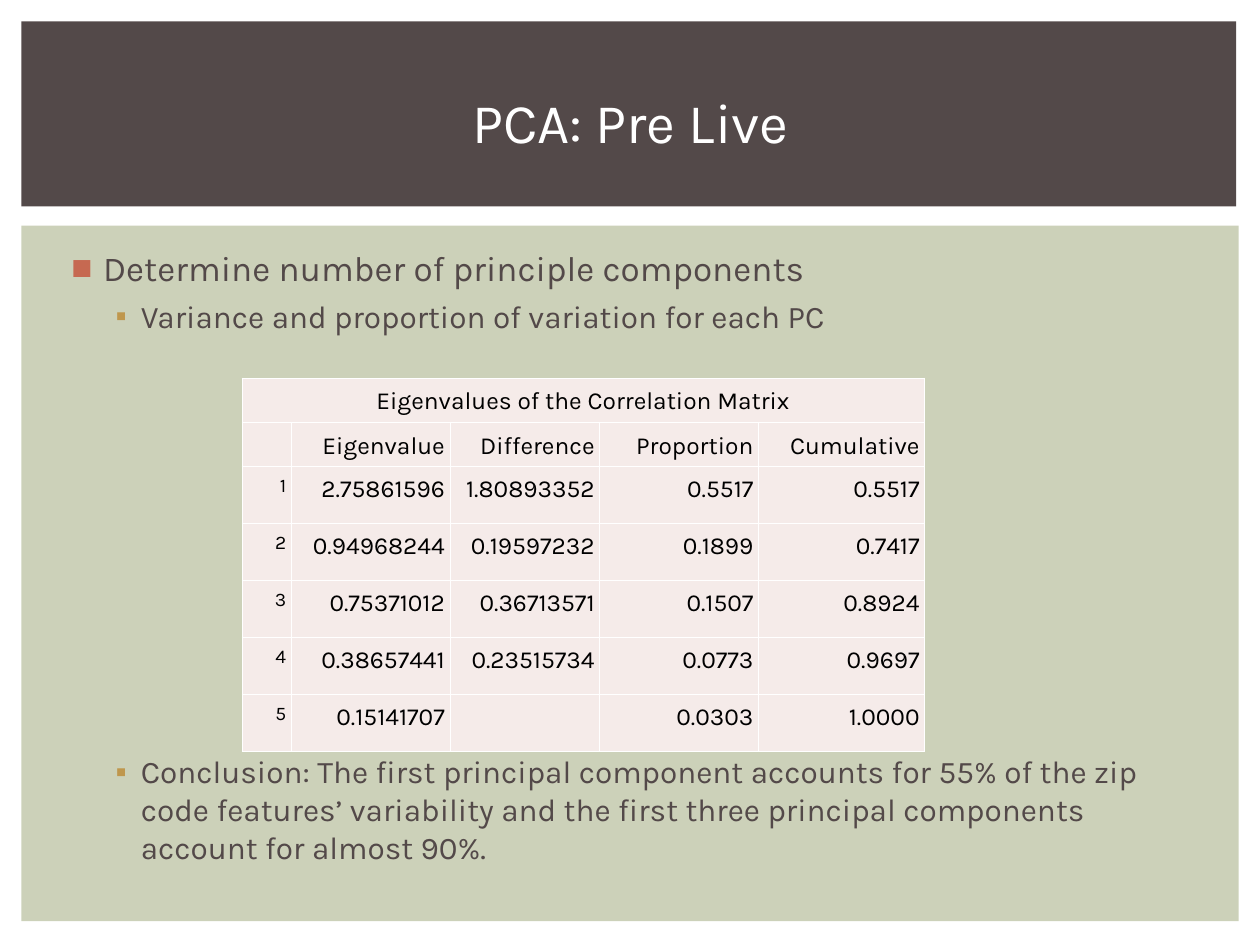
from dataclasses import dataclass
from typing import NamedTuple, Optional

from lxml.etree import SubElement
from pptx import Presentation
from pptx.dml.color import RGBColor as Rgb
from pptx.enum.shapes import MSO_SHAPE as Shape
from pptx.enum.text import MSO_ANCHOR as Anchor, PP_ALIGN as Align
from pptx.oxml.ns import qn
from pptx.util import Cm, Pt


@dataclass(frozen=True)
class Theme:
    font: str = "Karla"
    dark: str = "534949"
    panel: str = "CCD1B9"
    cell: str = "F5EBE9"
    white: str = "FFFFFF"
    black: str = "000000"
    rust: str = "C66951"
    ochre: str = "BF974D"
    title_size: float = 32
    point_size: float = 20
    detail_size: float = 18
    table_size: float = 14
    index_size: float = 11
    rule_width: float = 0.45


class Box(NamedTuple):
    left: float
    top: float
    width: float
    height: float

    def lengths(self) -> list:
        return [Cm(length) for length in self]


class Bullet(NamedTuple):
    mark: str
    color: str
    indent: float
    hanging: float


class Point(NamedTuple):
    text: str
    size: float
    bullet: Bullet
    before: float = 0


THEME = Theme()
MAIN = Bullet("■", THEME.rust, 0.76, 0.64)
SUB = Bullet("▪", THEME.ochre, 1.52, 0.51)

PANELS = [
    (Box(0.43, 4.55, 24.54, 14.02), THEME.panel),
    (Box(0.43, 0.43, 24.49, 3.73), THEME.dark),
]
TITLE_BOX = Box(1.07, 0.99, 23.29, 2.92)
INTRO_BOX = Box(1.07, 4.85, 23.34, 2.2)
CONCLUSION_BOX = Box(1.07, 15.04, 23.34, 3)
TABLE_BOX = Box(4.88, 7.62, 13.76, 7.03)

INTRO = [
    Point("Determine number of principle components", THEME.point_size, MAIN),
    Point("Variance and proportion of variation for each PC",
          THEME.detail_size, SUB, before=4.5),
]
CONCLUSION = [
    Point("Conclusion: The first principal component accounts for 55% of the zip "
          "code features’ variability and the first three principal components "
          "account for almost 90%.", THEME.detail_size, SUB),
]

COLUMN_WIDTHS = [0.99, 3.2, 3.02, 3.2, 3.35]
HEADER_HEIGHT, DATA_HEIGHT = 0.64, 1.15
HEADER_ROWS = 2
EIGENVALUES = [
    ["Eigenvalues of the Correlation Matrix", "", "", "", ""],
    ["", "Eigenvalue", "Difference", "Proportion", "Cumulative"],
    ["1", "2.75861596", "1.80893352", "0.5517", "0.5517"],
    ["2", "0.94968244", "0.19597232", "0.1899", "0.7417"],
    ["3", "0.75371012", "0.36713571", "0.1507", "0.8924"],
    ["4", "0.38657441", "0.23515734", "0.0773", "0.9697"],
    ["5", "0.15141707", "", "0.0303", "1.0000"],
]


def add_bullet(paragraph, bullet: Bullet) -> None:
    props = paragraph._p.get_or_add_pPr()
    props.set("marL", str(Cm(bullet.indent)))
    props.set("indent", str(-Cm(bullet.hanging)))
    color = SubElement(props, qn("a:buClr"))
    SubElement(color, qn("a:srgbClr"), val=bullet.color)
    SubElement(props, qn("a:buFont"), typeface="Arial")
    SubElement(props, qn("a:buChar"), char=bullet.mark)


def write(paragraph, text: str, *, size: float, color: str,
          align: Align = Align.LEFT, bullet: Optional[Bullet] = None,
          before: float = 0, spacing: float = 1.0) -> None:
    if bullet:
        add_bullet(paragraph, bullet)
    paragraph.alignment = align
    paragraph.line_spacing = spacing
    paragraph.space_before = Pt(before)
    run = paragraph.add_run()
    run.text = text
    run.font.name = THEME.font
    run.font.size = Pt(size)
    run.font.color.rgb = Rgb.from_string(color)


def draw_panel(slide, box: Box, color: str) -> None:
    panel = slide.shapes.add_shape(Shape.RECTANGLE, *box.lengths())
    panel.shadow.inherit = False
    panel.fill.solid()
    panel.fill.fore_color.rgb = Rgb.from_string(color)
    panel.line.fill.background()


def add_frame(slide, box: Box, anchor: Anchor = Anchor.TOP):
    frame = slide.shapes.add_textbox(*box.lengths()).text_frame
    frame.word_wrap = True
    frame.vertical_anchor = anchor
    return frame


def draw_points(slide, box: Box, points: list[Point]) -> None:
    frame = add_frame(slide, box)
    for position, point in enumerate(points):
        paragraph = frame.add_paragraph() if position else frame.paragraphs[0]
        write(paragraph, point.text, size=point.size, color=THEME.dark,
              bullet=point.bullet, before=point.before)


def style_cell(cell) -> None:
    props = cell._tc.get_or_add_tcPr()
    for side in ("lnL", "lnR", "lnT", "lnB"):
        rule = SubElement(props, qn(f"a:{side}"), w=str(Pt(THEME.rule_width)))
        fill = SubElement(rule, qn("a:solidFill"))
        SubElement(fill, qn("a:srgbClr"), val=THEME.white)
    cell.fill.solid()
    cell.fill.fore_color.rgb = Rgb.from_string(THEME.cell)


def fill_cell(cell, text: str, row: int, column: int) -> None:
    style_cell(cell)
    cell.margin_left = cell.margin_right = Cm(0.1)
    cell.margin_top = cell.margin_bottom = Cm(0.13 if text else 0)
    cell.vertical_anchor = Anchor.BOTTOM if row < HEADER_ROWS else Anchor.TOP
    if text:
        is_index = row >= HEADER_ROWS and column == 0
        write(cell.text_frame.paragraphs[0], text,
              size=THEME.index_size if is_index else THEME.table_size,
              color=THEME.black, spacing=1.07,
              align=Align.CENTER if row == 0 else Align.RIGHT)


def draw_eigenvalues(slide) -> None:
    table = slide.shapes.add_table(
        len(EIGENVALUES), len(COLUMN_WIDTHS), *TABLE_BOX.lengths()).table
    table.first_row = table.horz_banding = False
    for column, width in zip(table.columns, COLUMN_WIDTHS):
        column.width = Cm(width)
    for row, values in enumerate(EIGENVALUES):
        table.rows[row].height = Cm(
            HEADER_HEIGHT if row < HEADER_ROWS else DATA_HEIGHT)
        for column, value in enumerate(values):
            fill_cell(table.cell(row, column), value, row, column)
    table.cell(0, 0).merge(table.cell(0, len(COLUMN_WIDTHS) - 1))


def main() -> None:
    deck = Presentation()
    deck.slide_width, deck.slide_height = Cm(25.4), Cm(19.05)
    slide = deck.slides.add_slide(deck.slide_layouts[6])
    for box, color in PANELS:
        draw_panel(slide, box, color)
    draw_points(slide, INTRO_BOX, INTRO)
    draw_points(slide, CONCLUSION_BOX, CONCLUSION)
    heading = add_frame(slide, TITLE_BOX, Anchor.MIDDLE)
    write(heading.paragraphs[0], "PCA: Pre Live", size=THEME.title_size,
          color=THEME.white, align=Align.CENTER)
    draw_eigenvalues(slide)
    deck.save("out.pptx")


if __name__ == "__main__":
    main()
